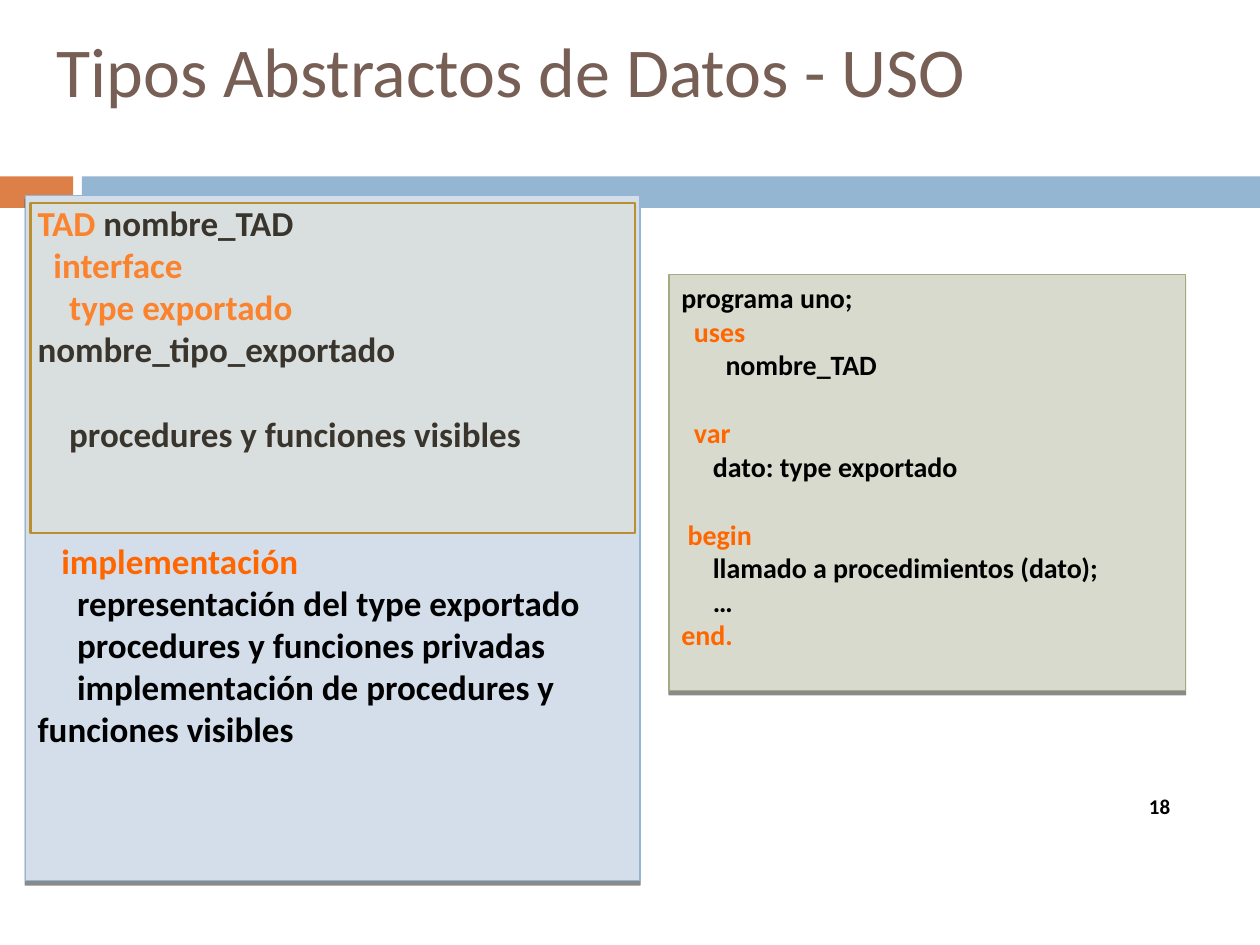
from dataclasses import dataclass
from typing import Optional

from lxml.etree import SubElement
from pptx import Presentation
from pptx.dml.color import RGBColor
from pptx.enum.shapes import MSO_SHAPE as Shape
from pptx.enum.text import MSO_ANCHOR as Anchor
from pptx.oxml.ns import qn
from pptx.util import Inches, Pt

COLS, ROWS = 100, 75
FONT = "Calibri"
LINE_HEIGHT = 1.22

BLACK = RGBColor(0x00, 0x00, 0x00)
ORANGE = RGBColor(0xFF, 0x66, 0x00)
BROWN = RGBColor(0x77, 0x5F, 0x55)
RUST = RGBColor(0xDD, 0x80, 0x47)
BLUE = RGBColor(0x94, 0xB6, 0xD2)
PALE_BLUE = RGBColor(0xD3, 0xDE, 0xEA)
OLIVE = RGBColor(0xA5, 0xAB, 0x81)
PALE_OLIVE = RGBColor(0xD8, 0xDA, 0xCD)
SAND = RGBColor(0xEF, 0xE0, 0xBE)
GOLD = RGBColor(0xBA, 0x8F, 0x2D)


@dataclass(frozen=True)
class Area:
    col: float
    row: float
    cols: float
    rows: float


@dataclass(frozen=True)
class Line:
    keyword: str = ""
    plain: str = ""
    blank_before: int = 0


@dataclass(frozen=True)
class Panel:
    area: Area
    fill: RGBColor
    border: RGBColor
    size: float
    lines: tuple[Line, ...]


PANELS = (
    Panel(Area(2, 15.5, 48.8, 54.4), PALE_BLUE, BLUE, 20, (
        Line("TAD", " nombre_TAD"),
        Line("  interface"),
        Line("    type exportado ", "nombre_tipo_exportado"),
        Line("", "    procedures y funciones visibles", 1),
        Line("   implementación", "", 2),
        Line("", "     representación del type exportado"),
        Line("", "     procedures y funciones privadas"),
        Line("", "     implementación de procedures y funciones visibles"),
    )),
    Panel(Area(53.1, 21.8, 41, 33), PALE_OLIVE, OLIVE, 16, (
        Line("", "programa uno;"),
        Line("  uses"),
        Line("", "       nombre_TAD"),
        Line("  var", "", 1),
        Line("", "     dato: type exportado"),
        Line(" begin", "", 1),
        Line("", "     llamado a procedimientos (dato);"),
        Line("", "     …"),
        Line("end."),
    )),
)


def place(prs, area: Area) -> tuple[int, int, int, int]:
    w, h = prs.slide_width / COLS, prs.slide_height / ROWS
    return (round(area.col * w), round(area.row * h),
            round(area.cols * w), round(area.rows * h))


def add_rect(prs, s, area: Area, fill: RGBColor,
             border: Optional[RGBColor] = None, width: float = 0.79):
    sp = s.shapes.add_shape(Shape.RECTANGLE, *place(prs, area))
    sp.shadow.inherit = False
    sp.fill.solid()
    sp.fill.fore_color.rgb = fill
    if border is None:
        sp.line.fill.background()
    else:
        sp.line.color.rgb = border
        sp.line.width = Pt(width)
    return sp


def add_alpha(color, percent: int) -> None:
    SubElement(color, qn("a:alpha"), val=str(percent * 1000))


def add_drop_shadow(sp) -> None:
    effects = sp._element.spPr.find(qn("a:effectLst"))
    shadow = SubElement(effects, qn("a:outerShdw"), blurRad="0",
                        dist=str(Pt(2.4)), dir="5400000", rotWithShape="0")
    add_alpha(SubElement(shadow, qn("a:srgbClr"), val=str(BLACK)), 45)


def style(r, size: float, color: RGBColor, bold: bool) -> None:
    r.font.name = FONT
    r.font.size = Pt(size)
    r.font.bold = bold
    r.font.color.rgb = color


def add_label(prs, s, area: Area, text: str, size: float,
              color: RGBColor, bold: bool, anchor: Anchor) -> None:
    tf = s.shapes.add_textbox(*place(prs, area)).text_frame
    tf.word_wrap = True
    tf.vertical_anchor = anchor
    tf.margin_top = tf.margin_bottom = 0
    tf.text = text
    style(tf.paragraphs[0].runs[0], size, color, bold)


def add_panel(prs, s, panel: Panel) -> None:
    sp = add_rect(prs, s, panel.area, panel.fill, panel.border)
    add_drop_shadow(sp)
    tf = sp.text_frame
    tf.word_wrap = True
    tf.vertical_anchor = Anchor.TOP
    for i, line in enumerate(panel.lines):
        p = tf.add_paragraph() if i else tf.paragraphs[0]
        p.alignment = 1
        if line.blank_before:
            p.space_before = Pt(line.blank_before * panel.size * LINE_HEIGHT)
        for text, color in ((line.keyword, ORANGE), (line.plain, BLACK)):
            if text:
                r = p.add_run()
                r.text = text
                style(r, panel.size, color, True)


def main() -> None:
    prs = Presentation()
    prs.slide_width, prs.slide_height = Inches(10), Inches(7.5)
    s = prs.slides.add_slide(prs.slide_layouts[6])

    add_rect(prs, s, Area(0, 14, 5.8, 2.5), RUST)
    add_rect(prs, s, Area(6.5, 14, 93.5, 2.5), BLUE)
    add_label(prs, s, Area(3.5, -0.3, 93.3, 11.6),
              "Tipos Abstractos de Datos - USO", 40, BROWN, False, Anchor.MIDDLE)
    add_label(prs, s, Area(90.2, 63, 4.1, 2.4), "18", 12, BLACK, True, Anchor.TOP)
    for panel in PANELS:
        add_panel(prs, s, panel)

    frame = add_rect(prs, s, Area(2.4, 16.1, 48, 26.2), SAND, GOLD, 1.5)
    add_alpha(frame._element.spPr.find(qn("a:solidFill"))[0], 24)

    prs.save("out.pptx")


if __name__ == "__main__":
    main()
